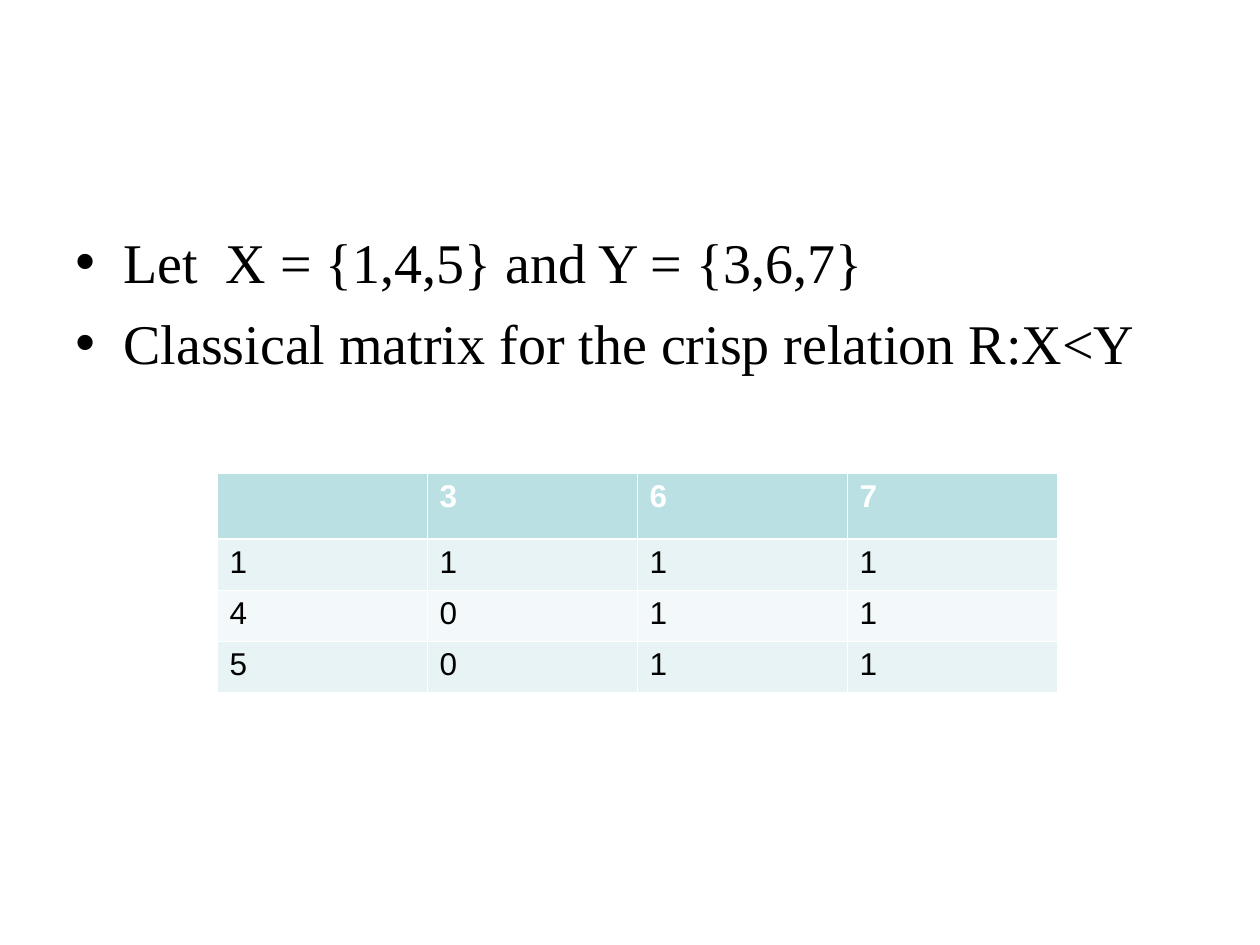
from typing import NamedTuple

from lxml.etree import SubElement
from pptx import Presentation
from pptx.dml.color import RGBColor
from pptx.oxml.ns import qn
from pptx.util import Emu, Pt

PX = 914400 // 126
WHITE = RGBColor(0xFF, 0xFF, 0xFF)
BLACK = RGBColor(0x00, 0x00, 0x00)
TEAL = RGBColor(0xBB, 0xE0, 0xE3)
PALE = RGBColor(0xE7, 0xF3, 0xF4)
MIST = RGBColor(0xF3, 0xF9, 0xFA)

BODY = {"name": "Times New Roman", "size": Pt(32)}
CELL = {"name": "Arial", "size": Pt(18)}
THIN, THICK = 0.45, 1.47


class Box(NamedTuple):
    left: int
    top: int
    width: int
    height: int


class Row(NamedTuple):
    texts: tuple[str, ...]
    height: int
    fill: RGBColor
    ink: RGBColor = BLACK
    bold: bool = False
    above: float = THIN
    below: float = THIN


LINES = (
    "Let  X = {1,4,5} and Y = {3,6,7}",
    "Classical matrix for the crisp relation R:X<Y",
)
ROWS = (
    Row(("", "3", "6", "7"), 66, TEAL, WHITE, True, below=THICK),
    Row(("1", "1", "1", "1"), 51, PALE, above=THICK),
    Row(("4", "0", "1", "1"), 51, MIST),
    Row(("5", "0", "1", "1"), 51, PALE),
)


def px(count: int) -> Emu:
    return Emu(count * PX)


def style(font, form: dict, ink: RGBColor) -> None:
    for name, value in form.items():
        setattr(font, name, value)
    font.color.rgb = ink


def bullet(para, indent: int) -> None:
    props = para._p.get_or_add_pPr()
    props.set("marL", str(px(indent)))
    props.set("indent", str(-px(indent)))
    SubElement(props, qn("a:buFont"), typeface="Arial")
    SubElement(props, qn("a:buChar"), char="•")


def edge(cell, side: str, width: float) -> None:
    line = SubElement(cell._tc.get_or_add_tcPr(), qn(f"a:{side}"), w=str(Pt(width)))
    fill = SubElement(line, qn("a:solidFill"))
    SubElement(fill, qn("a:srgbClr"), val=str(WHITE))


def draw_list(slide, box: Box, lines: tuple[str, ...]) -> None:
    frame = slide.shapes.add_textbox(*map(px, box)).text_frame
    frame.word_wrap = True
    for i, text in enumerate(lines):
        para = frame.add_paragraph() if i else frame.paragraphs[0]
        bullet(para, 48)
        if i:
            para.space_before = Pt(8)
        run = para.add_run()
        run.text = text
        style(run.font, BODY, BLACK)


def draw_cell(cell, text: str, row: Row) -> None:
    # Borders come before the fill in the cell's XML
    for side, width in (("lnL", THIN), ("lnR", THIN),
                        ("lnT", row.above), ("lnB", row.below)):
        edge(cell, side, width)
    cell.fill.solid()
    cell.fill.fore_color.rgb = row.fill
    para = cell.text_frame.paragraphs[0]
    style(para.font, CELL | {"bold": row.bold}, row.ink)
    if text:
        run = para.add_run()
        run.text = text
        style(run.font, CELL | {"bold": row.bold}, row.ink)


def draw_table(slide, left: int, top: int, width: int, rows: tuple[Row, ...]) -> None:
    count = len(rows[0].texts)
    box = Box(left, top, width * count, sum(row.height for row in rows))
    table = slide.shapes.add_table(len(rows), count, *map(px, box)).table
    for col in table.columns:
        col.width = px(width)
    for i, row in enumerate(rows):
        table.rows[i].height = px(row.height)
        for j, text in enumerate(row.texts):
            draw_cell(table.cell(i, j), text, row)


def main() -> None:
    deck = Presentation()
    deck.slide_width, deck.slide_height = px(1260), px(945)
    slide = deck.slides.add_slide(deck.slide_layouts[6])

    # Sets and the relation
    draw_list(slide, Box(63, 221, 1134, 624), LINES)

    # Relation matrix
    draw_table(slide, 217, 473, 210, ROWS)

    deck.save("out.pptx")


if __name__ == "__main__":
    main()
